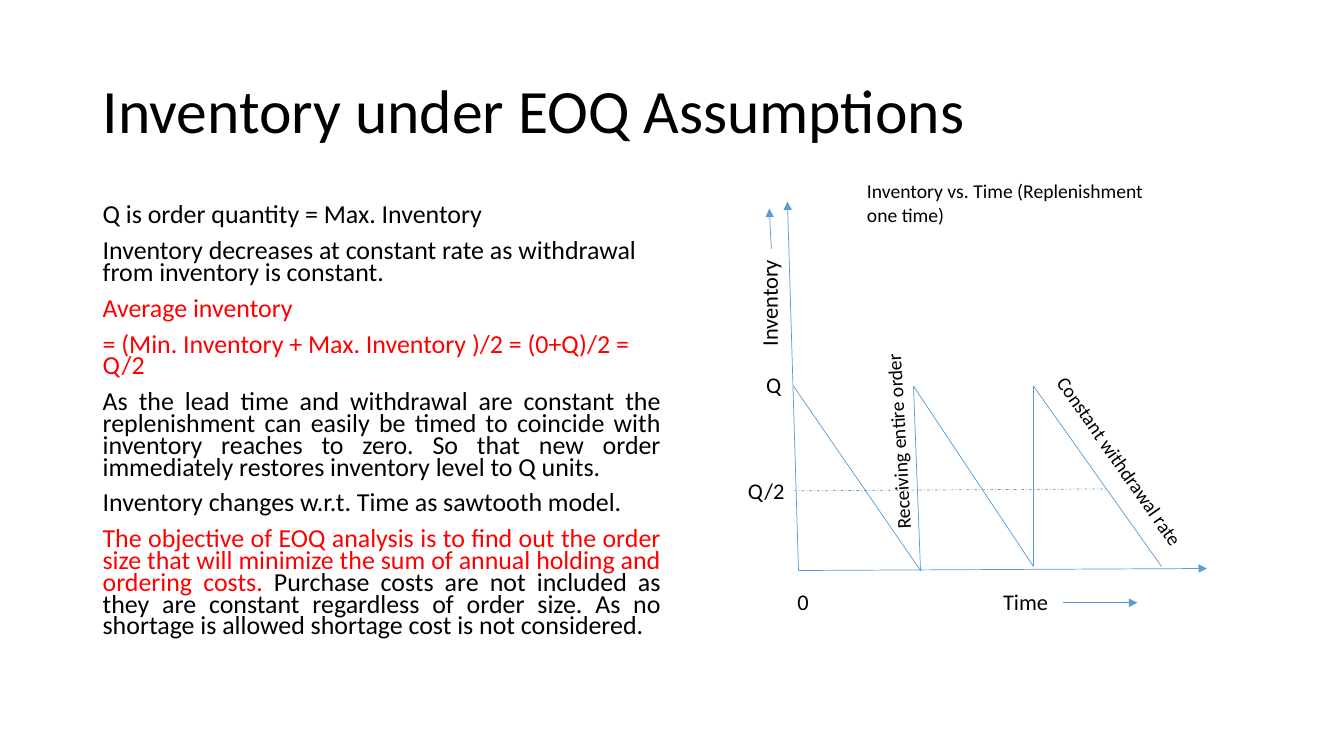
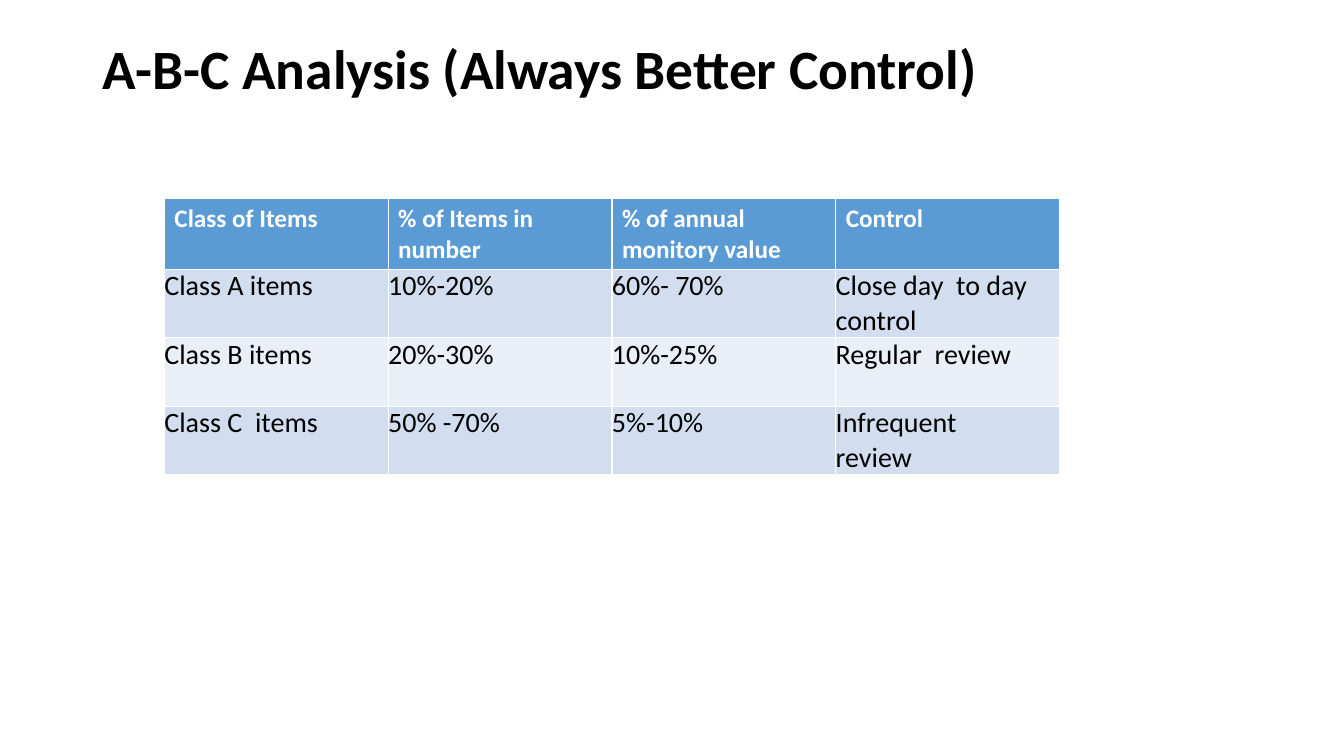
from dataclasses import dataclass
from pptx import Presentation
from pptx.dml.color import RGBColor
from pptx.enum.dml import MSO_LINE
from pptx.enum.shapes import MSO_CONNECTOR
from pptx.enum.text import MSO_ANCHOR, PP_ALIGN
from pptx.oxml.ns import qn
from pptx.util import Inches, Pt
from lxml.etree import SubElement


@dataclass(frozen=True)
class Theme:
    font: str = "Calibri"
    black: RGBColor = RGBColor(0, 0, 0)
    white: RGBColor = RGBColor(255, 255, 255)
    red: RGBColor = RGBColor(255, 0, 0)
    blue: RGBColor = RGBColor(0x5B, 0x9B, 0xD5)
    bands: tuple = (RGBColor(0xD2, 0xDE, 0xEF), RGBColor(0xEA, 0xEF, 0xF7))
    title: float = 44
    small_title: float = 39.6
    body: float = 18.5
    header: float = 18
    cell: float = 20
    label: float = 16
    note: float = 14
    line: float = 0.5


T = Theme()


def add_run(p, text, size, color=T.black, bold=False):
    r = p.add_run()
    r.text = text
    r.font.name = T.font
    r.font.size = Pt(size)
    r.font.color.rgb = color
    r.font.bold = bold


def add_text(s, box, paragraphs, size, spacing=None, before=0, anchor=MSO_ANCHOR.TOP, bold=False):
    """Each paragraph is (alignment, [(text, colour), ...])."""
    sp = s.shapes.add_textbox(*map(Inches, box))
    tf = sp.text_frame
    tf.word_wrap = True
    tf.vertical_anchor = anchor
    for i, (align, runs) in enumerate(paragraphs):
        p = tf.add_paragraph() if i else tf.paragraphs[0]
        p.alignment = align
        p.space_before = Pt(before)
        if spacing:
            p.line_spacing = spacing
        for text, color in runs:
            add_run(p, text, size, color, bold)
    return sp


prs = Presentation()
prs.slide_width, prs.slide_height = Inches(13.33), Inches(7.5)
LEFT, JUSTIFY = PP_ALIGN.LEFT, PP_ALIGN.JUSTIFY

# Slides and their titles
titles = [
    ("Inventory under EOQ Assumptions", (0.92, 0.4, 11.5, 1.45), T.title, False),
    ("A-B-C Analysis (Always Better Control)", (0.92, 0.4, 11.15, 0.62), T.small_title, True),
]
slides = []
for text, box, size, bold in titles:
    s = prs.slides.add_slide(prs.slide_layouts[6])
    add_text(s, box, [(LEFT, [(text, T.black)])], size, 0.9, anchor=MSO_ANCHOR.MIDDLE, bold=bold)
    slides.append(s)
eoq, abc = slides

# EOQ explanation
explanation = [
    (LEFT, [("Q is order quantity = Max. Inventory", T.black)]),
    (LEFT, [("Inventory decreases at constant rate as withdrawal from inventory is constant.", T.black)]),
    (LEFT, [("Average inventory", T.red)]),
    (LEFT, [("= (Min. Inventory + Max. Inventory )/2 = (0+Q)/2 = Q/2", T.red)]),
    (JUSTIFY, [("As the lead time and withdrawal are constant the replenishment can easily be timed "
                "to coincide with inventory reaches to zero. So that new order immediately restores "
                "inventory level to Q units.", T.black)]),
    (JUSTIFY, [("Inventory changes w.r.t. Time as sawtooth model.", T.black)]),
    (JUSTIFY, [("The objective of EOQ analysis is to find out the order size that will minimize the "
                "sum of annual holding and ordering costs. ", T.red),
               ("Purchase costs are not included as they are constant regardless of order size. "
                "As no shortage is allowed shortage cost is not considered.", T.black)]),
]
add_text(eoq, (0.92, 2, 5.73, 4.76), explanation, T.body, 0.7, 10)

# Sawtooth diagram: axes, direction arrows, stock level, average level
origin = (7.92, 5.66)
sawtooth = [(7.87, 3.83), (9.13, 5.66), (9.06, 3.83), (10.25, 5.62), (10.25, 3.83), (11.52, 5.62)]
lines = [
    (origin, (11.97, 5.64), "arrow"),
    (origin, (7.81, 2), "arrow"),
    ((10.54, 5.98), (11.28, 5.98), "arrow"),
    ((7.65, 2.47), (7.63, 2.07), "arrow"),
    ((7.87, 4.87), (10.99, 4.85), "dash"),
]
lines += [(start, end, "plain") for start, end in zip(sawtooth, sawtooth[1:])]
for start, end, kind in lines:
    cx = eoq.shapes.add_connector(MSO_CONNECTOR.STRAIGHT, *map(Inches, start + end))
    cx.line.color.rgb = T.blue
    cx.line.width = Pt(T.line)
    if kind == "dash":
        cx.line.dash_style = MSO_LINE.DASH_DOT
    if kind == "arrow":
        SubElement(cx.line._get_or_add_ln(), qn("a:tailEnd"), type="triangle")
    SubElement(cx._element.spPr, qn("a:effectLst"))

# Diagram labels
labels = [
    ("Q", (7.5, 3.63, 0.31, 0.37), T.label, 0),
    ("0", (7.81, 5.79, 0.29, 0.37), T.label, 0),
    ("Time", (9.85, 5.79, 2.23, 0.37), T.label, 0),
    ("Inventory", (6.86, 2.58, 1.54, 0.37), T.label, 270),
    ("Q/2", (7.32, 4.68, 0.67, 0.37), T.label, 0),
    ("Constant withdrawal rate", (9.99, 4.44, 2.27, 0.34), T.note, 55.2),
    ("Receiving entire order", (7.89, 4.16, 2.04, 0.34), T.note, 266.7),
    ("Inventory vs. Time (Replenishment one time)", (8.5, 1.73, 3.09, 0.57), T.note, 0),
]
for text, box, size, angle in labels:
    sp = add_text(eoq, box, [(LEFT, [(text, T.black)])], size)
    sp.rotation = angle

# A-B-C table
rows = [
    ("Class of Items", "% of Items in number", "% of annual monitory value", "Control"),
    ("Class A items", "10%-20%", "60%- 70%", "Close day  to day  control"),
    ("Class B items", "20%-30%", "10%-25%", "Regular  review"),
    ("Class C  items", "50% -70%", "5%-10%", "Infrequent  review"),
]
table = abc.shapes.add_table(4, 4, Inches(1.63), Inches(1.97), Inches(8.88), Inches(2.74)).table
for col in table.columns:
    col.width = Inches(2.22)
for i, texts in enumerate(rows):
    table.rows[i].height = Inches(0.68 if i else 0.7)
    for j, text in enumerate(texts):
        cell = table.cell(i, j)
        cell.fill.solid()
        p = cell.text_frame.paragraphs[0]
        if i == 0:
            cell.fill.fore_color.rgb = T.blue
            add_run(p, text, T.header, T.white, True)
        else:
            cell.fill.fore_color.rgb = T.bands[(i - 1) % 2]
            cell.margin_left = cell.margin_top = cell.margin_bottom = 0
            cell.margin_right = Inches(0.25 if j == 3 else 0)
            add_run(p, text, T.cell)

prs.save("out.pptx")
